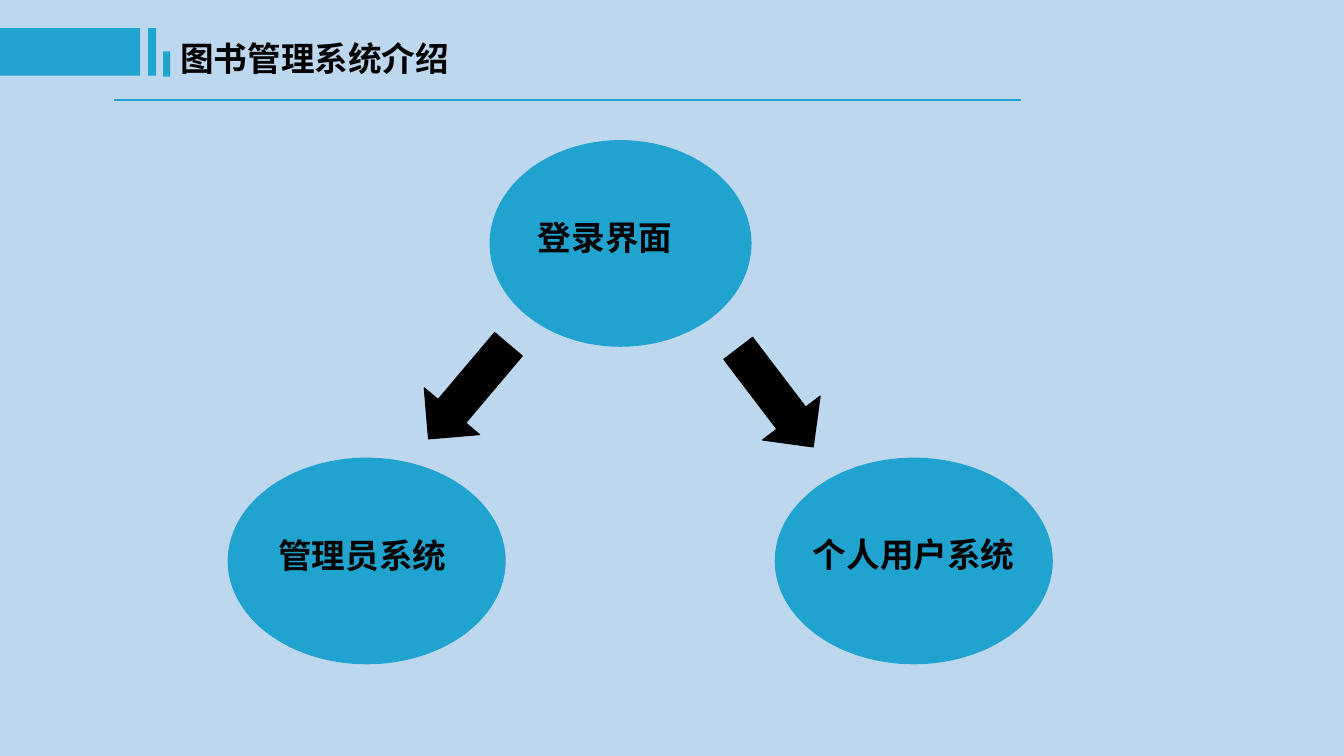
from lxml.etree import SubElement
from pptx import Presentation
from pptx.dml.color import RGBColor
from pptx.enum.shapes import MSO_CONNECTOR, MSO_SHAPE
from pptx.enum.text import MSO_ANCHOR, MSO_AUTO_SIZE, PP_ALIGN
from pptx.oxml.ns import qn
from pptx.util import Inches, Pt

BLUE = RGBColor(0x21, 0xA3, 0xD0)
PALE = RGBColor(0xBD, 0xD7, 0xEE)
BLACK = RGBColor(0, 0, 0)
FONT = "Noto Sans CJK SC"

prs = Presentation()
prs.slide_width, prs.slide_height = Inches(13.34), Inches(7.5)
s = prs.slides.add_slide(prs.slide_layouts[5])
s.background.fill.solid()
s.background.fill.fore_color.rgb = PALE


def add_filled(kind, left, top, width, height, color=BLUE):
    sp = s.shapes.add_shape(kind, Inches(left), Inches(top), Inches(width), Inches(height))
    sp.shadow.inherit = False
    sp.fill.solid()
    sp.fill.fore_color.rgb = color
    sp.line.fill.background()
    return sp


def write_label(sp, text, wrap=True):
    tf = sp.text_frame
    tf.word_wrap = wrap
    tf.auto_size = MSO_AUTO_SIZE.NONE
    tf.vertical_anchor = MSO_ANCHOR.MIDDLE
    p = tf.paragraphs[0]
    p.alignment = PP_ALIGN.LEFT
    r = p.add_run()
    r.text = text
    r.font.name, r.font.size, r.font.bold = FONT, Pt(24), True
    r.font.color.rgb = BLACK
    SubElement(r.font._element, qn("a:ea"), typeface=FONT)


# Header: three bars, title and rule
for left, top, width, height in [(0, 0.28, 1.39, 0.47), (1.47, 0.28, 0.08, 0.47),
                                 (1.62, 0.51, 0.07, 0.25)]:
    add_filled(MSO_SHAPE.RECTANGLE, left, top, width, height)

title = s.shapes.title
title.left, title.top, title.width, title.height = map(Inches, (1.69, 0.33, 3.01, 0.5))
write_label(title, "图书管理系统介绍")

rule = s.shapes.add_connector(MSO_CONNECTOR.STRAIGHT, Inches(1.13), Inches(0.99),
                              Inches(10.13), Inches(0.99))
rule.line.color.rgb = BLUE
rule.line.width = Pt(1.5)
SubElement(rule._element.spPr, qn("a:effectLst"))

# Login page leads to the two subsystems
for text, left, top, width in [("登录界面", 4.86, 1.39, 2.6), ("管理员系统", 2.26, 4.54, 2.76)]:
    node = add_filled(MSO_SHAPE.OVAL, left, top, width, 2.05)
    node.text_frame.margin_bottom = Inches(0.17)
    write_label(node, text)

# The longest label is wider than the text area of its ellipse
add_filled(MSO_SHAPE.OVAL, 7.69, 4.54, 2.76, 2.05)
user_label = s.shapes.add_textbox(Inches(7.97), Inches(5.25), Inches(2.24), Inches(0.5))
write_label(user_label, "个人用户系统")

for left, top, angle in [(4.29, 3.27, 40.2), (7.34, 3.33, 322.7)]:
    arrow = add_filled(MSO_SHAPE.DOWN_ARROW, left, top, 0.72, 1.23, BLACK)
    arrow.rotation = angle
    arrow.line.color.rgb = BLACK
    arrow.line.width = Pt(0.75)

prs.save("out.pptx")
